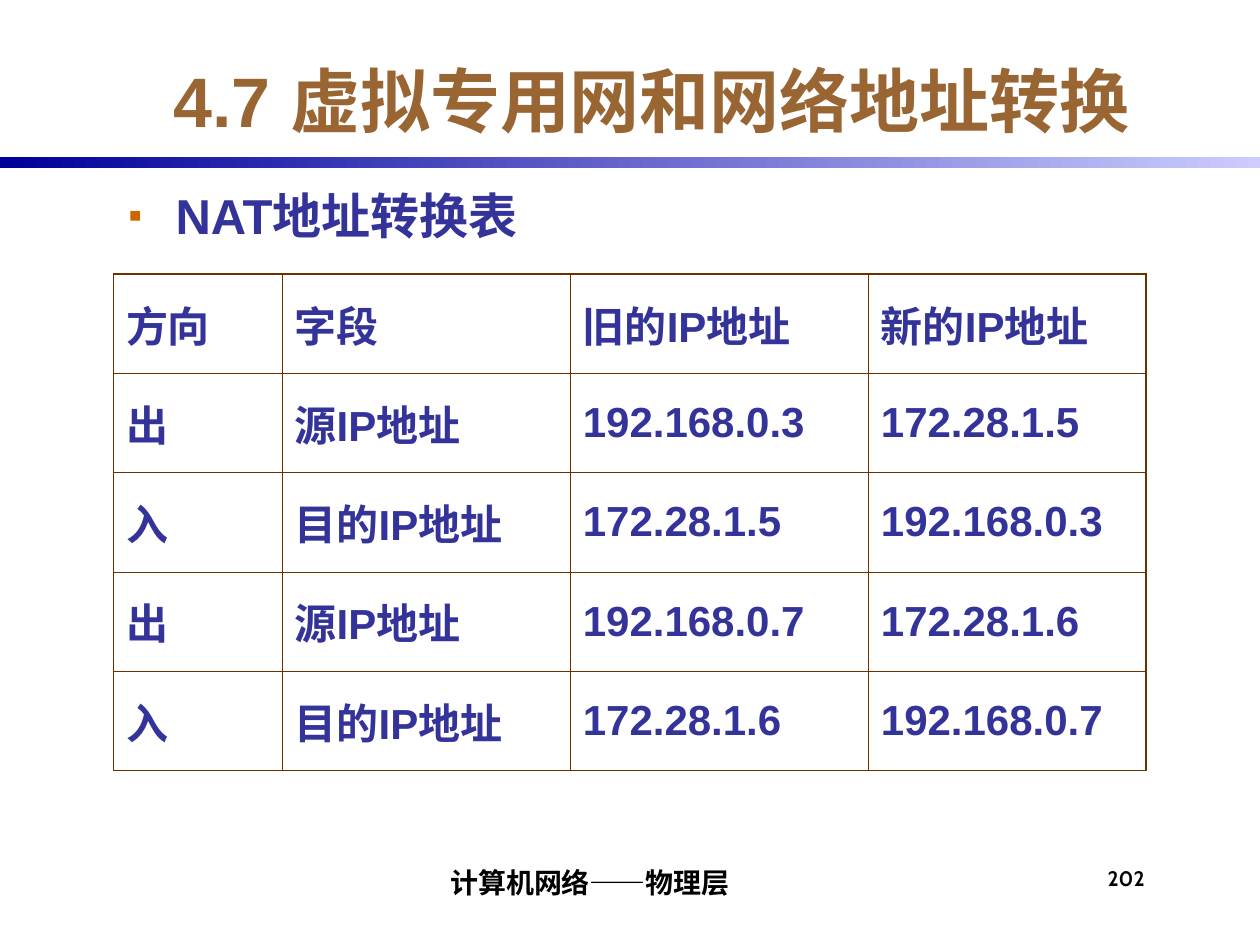
from lxml.etree import SubElement
from pptx import Presentation
from pptx.dml.color import RGBColor
from pptx.enum.shapes import MSO_SHAPE as Shape
from pptx.enum.text import MSO_ANCHOR as Anchor, MSO_AUTO_SIZE as AutoSize, PP_ALIGN as Align
from pptx.oxml import parse_xml
from pptx.oxml.ns import nsdecls, qn
from pptx.util import Cm, Pt


def color(value):
    return RGBColor.from_string(value)


def write(frame, text, size, font, value, align, anchor, margins=(0.25, 0.13, 0.25, 0.13)):
    frame.text = text
    frame.vertical_anchor = anchor
    frame.margin_left, frame.margin_top, frame.margin_right, frame.margin_bottom = map(Cm, margins)
    para = frame.paragraphs[0]
    para.alignment = align
    para.space_before = Pt(0)
    span = para.runs[0]
    span.font.size = Pt(size)
    span.font.name = font
    span.font.bold = True
    span.font.color.rgb = color(value)
    return para


deck = Presentation()
deck.slide_width, deck.slide_height = Cm(25.4), Cm(19.05)
page = deck.slides.add_slide(deck.slide_layouts[1])

rule = page.shapes.add_shape(Shape.RECTANGLE, Cm(0), Cm(3.17), Cm(25.4), Cm(0.21))
rule.shadow.inherit = False
rule.line.fill.background()
rule.fill.gradient()
rule.fill.gradient_angle = 180
for stop, value in zip(rule.fill.gradient_stops, ("CCCCFF", "000099")):
    stop.color.rgb = color(value)

title = page.shapes.title
title.left, title.top, title.width, title.height = Cm(2.34), Cm(0.84), Cm(21.59), Cm(2.34)
write(title.text_frame, "4.7 虚拟专用网和网络地址转换", 40, "Arial", "996633", Align.CENTER, Anchor.MIDDLE)
title.text_frame.auto_size = AutoSize.NONE

body = page.placeholders[1]
body.left, body.top, body.width, body.height = Cm(2.34), Cm(3.61), Cm(10.59), Cm(12.7)
para = write(body.text_frame, "NAT地址转换表", 28, "Arial", "333399", Align.LEFT, Anchor.TOP)
body.text_frame.auto_size = AutoSize.NONE
properties = para._p.get_or_add_pPr()
properties.set("marL", str(Cm(0.95)))
properties.set("indent", str(-Cm(0.95)))
bullet_color = SubElement(properties, qn("a:buClr"))
SubElement(bullet_color, qn("a:srgbClr"), val="CC6600")
SubElement(properties, qn("a:buSzPct"), val="80000")
SubElement(properties, qn("a:buChar"), char="▪")

rows = [
    ("方向", "字段", "旧的IP地址", "新的IP地址"),
    ("出", "源IP地址", "192.168.0.3", "172.28.1.5"),
    ("入", "目的IP地址", "172.28.1.5", "192.168.0.3"),
    ("出", "源IP地址", "192.168.0.7", "172.28.1.6"),
    ("入", "目的IP地址", "172.28.1.6", "192.168.0.7"),
]
widths = [3.4, 5.81, 6.01, 5.6]
last_row, last_column = len(rows) - 1, len(widths) - 1
frame = page.shapes.add_table(len(rows), len(widths), Cm(2.29), Cm(5.53), Cm(sum(widths)), Cm(2 * len(rows)))
table = frame.table
table.first_row = table.horz_banding = False
for column, width in zip(table.columns, widths):
    column.width = Cm(width)
for r, row in enumerate(rows):
    table.rows[r].height = Cm(2)
    for c, text in enumerate(row):
        cell = table.cell(r, c)
        write(cell.text_frame, text, 24, "Arial", "333399", Align.LEFT, Anchor.MIDDLE)
        cell.vertical_anchor = Anchor.MIDDLE
        cell.margin_left = cell.margin_right = Cm(0.25)
        cell.margin_top = cell.margin_bottom = Cm(0.13)
        cell.fill.background()
        outer_sides = (c == 0, c == last_column, r == 0, r == last_row)
        for position, (side, outer) in enumerate(zip("LRTB", outer_sides)):
            border = parse_xml(
                f'<a:ln{side} {nsdecls("a")} w="{Pt(1.08 if outer else 0.45)}">'
                f'<a:solidFill><a:srgbClr val="663300"/></a:solidFill></a:ln{side}>'
            )
            cell._tc.get_or_add_tcPr().insert(position, border)

captions = [
    ("计算机网络——物理层", 5.28, 17.15, 13.13, 16, Align.CENTER, Anchor.BOTTOM, (0.1, 0, 0, 0.1)),
    ("202", 22.23, 17.35, 1.47, 12, Align.LEFT, Anchor.TOP, (0.1, 0.1, 0, 0)),
]
for text, left, top, width, size, align, anchor, margins in captions:
    box = page.shapes.add_textbox(Cm(left), Cm(top), Cm(width), Cm(1.07))
    box.text_frame.word_wrap = True
    write(box.text_frame, text, size, "Cabin", "000000", align, anchor, margins)

deck.save("out.pptx")
